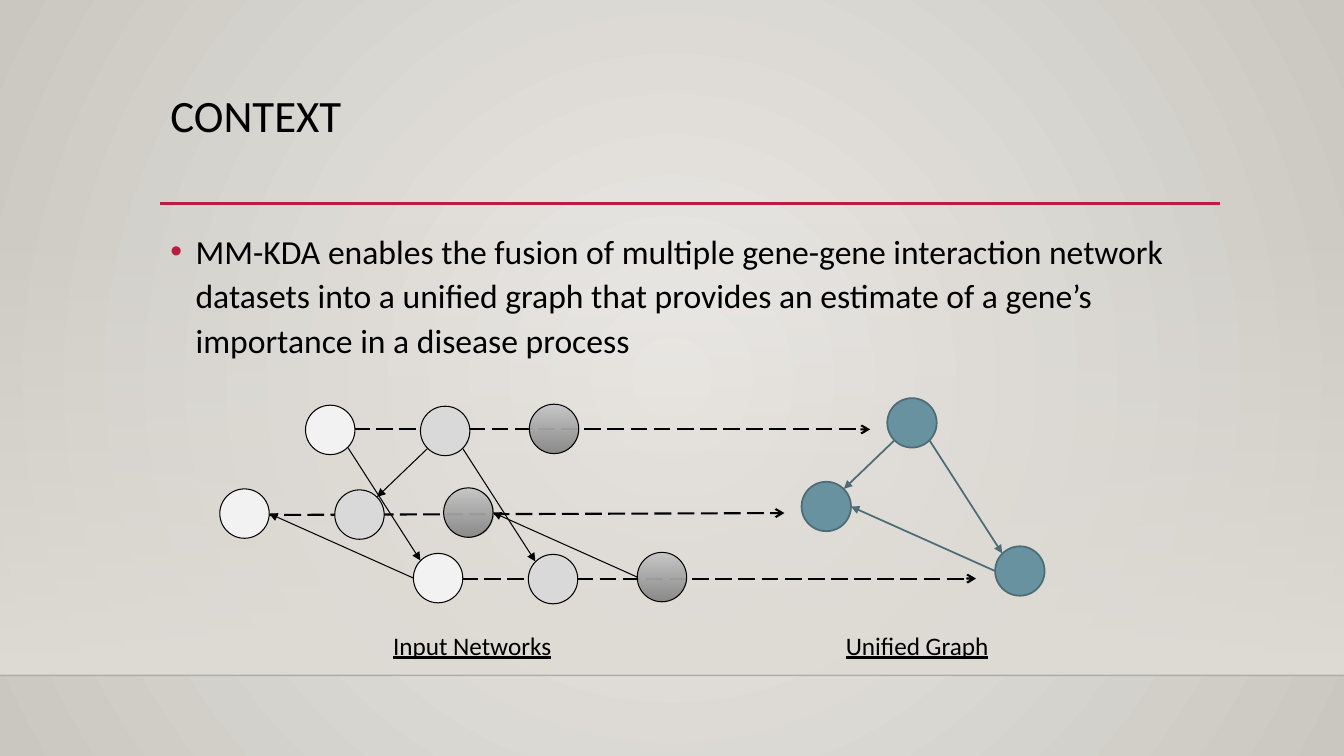
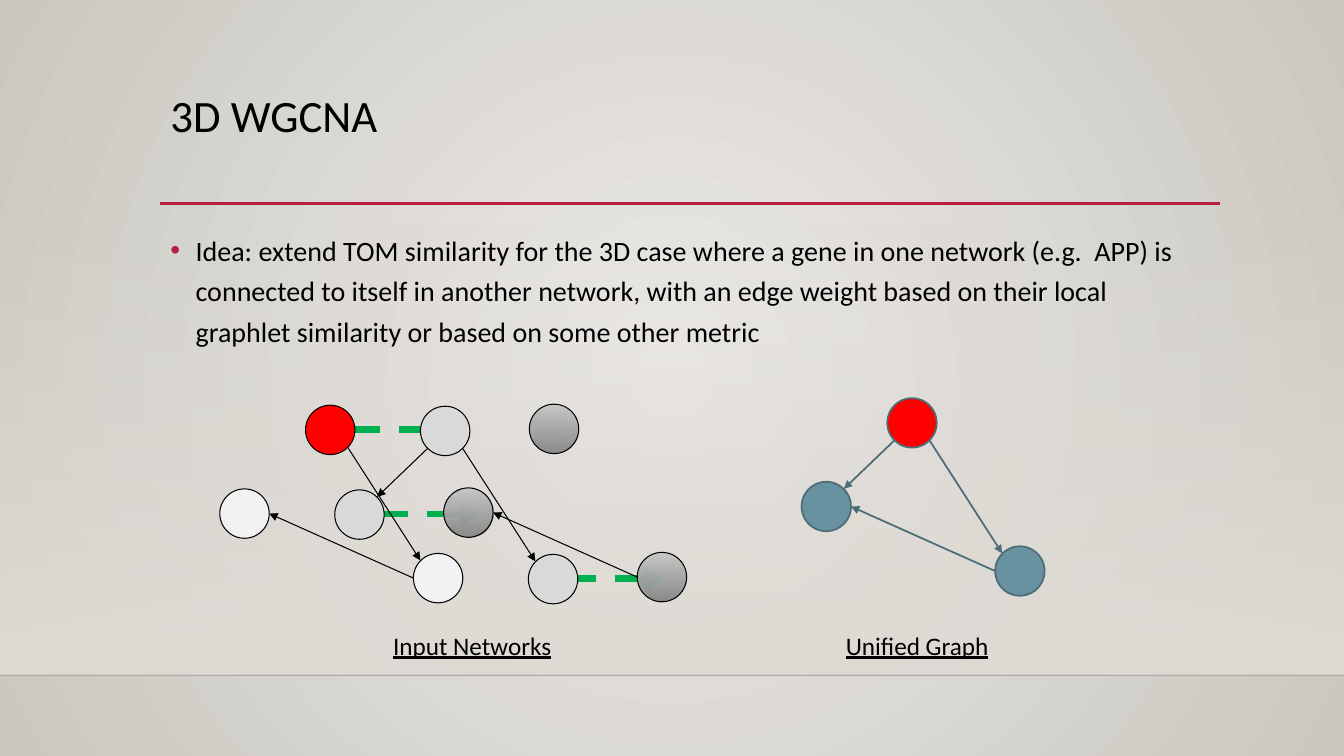
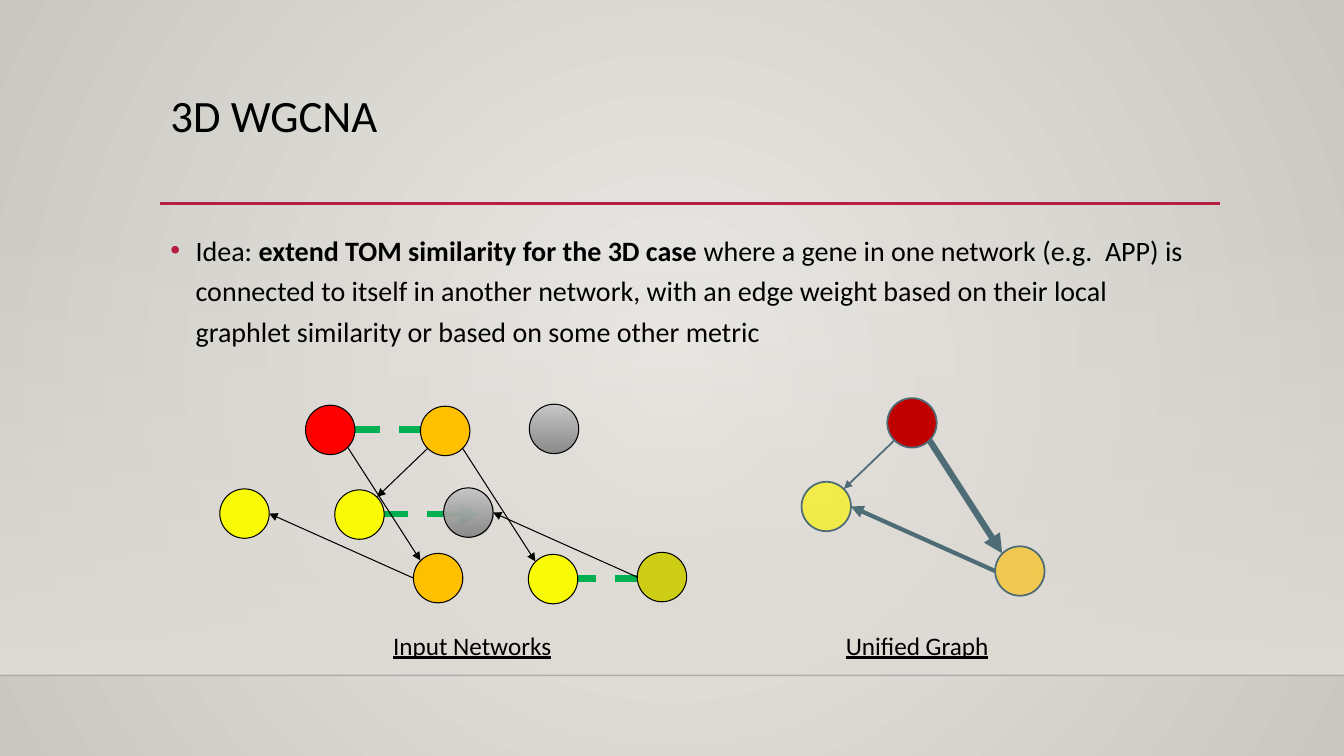
import pptx
import pptx.util
import pptx.dml.color
import pptx.enum.dml
import pptx.enum.shapes
import pptx.enum.text
import pptx.oxml
import pptx.oxml.ns

Inches = pptx.util.Inches
Pt = pptx.util.Pt

COLORS = {
    "text": "000000", "accent": "B71E42", "glow": "ECEAE7", "edge": "CAC7C1",
    "band": "DFDBD5", "horizon": "000001", "white": "F2F2F2", "light": "D9D9D9",
    "silver": "C8C8C8", "steel": "848484", "teal": "6892A0", "slate": "4D6C76",
    "green": "00B050", "red": "FF0000", "crimson": "C00000", "orange": "FFC000",
    "yellow": "F9FA05", "lemon": "F8F213", "olive": "CCCD14",
}
FONT = "Calibri"
DOWN = '<a:lin ang="5400000" scaled="0"/>'
CENTRE = ('<a:path path="circle"><a:fillToRect l="50000" t="50000" '
          'r="50000" b="50000"/></a:path>')
GRAY = [("silver", 100), ("steel", 92)]

NODE = 0.49
DIAGONAL = 0.07
NODE_OFFSETS = {"top": (0.85, 0), "bottom": (1.92, 1.47), "left": (0, 0.83)}
ANCHORS = {
    "upper left": (DIAGONAL, DIAGONAL),
    "upper right": (NODE - DIAGONAL, DIAGONAL),
    "lower left": (DIAGONAL, NODE - DIAGONAL),
    "lower right": (NODE - DIAGONAL, NODE - DIAGONAL),
    "middle left": (0, NODE / 2),
    "middle right": (NODE, NODE / 2),
}
EDGES = {
    "top-bottom": ("top", "lower right", "bottom", "upper left"),
    "bottom-left": ("bottom", "middle left", "left", "middle right"),
    "top-left": ("top", "lower left", "left", "upper right"),
}
DIAGRAM_BOX = (2.18, 3.95)
INPUT_NETWORKS = [
    ((0, 0.07), ("top-bottom", "bottom-left")),
    ((1.14, 0.08), ("top-bottom", "top-left")),
    ((2.22, 0.06), ("bottom-left",)),
]
UNIFIED_OFFSET = (5.77, 0)
CAPTIONS = {"Input Networks": (1.62, 2.25), "Unified Graph": (6.11, 2.25)}
FUSION_LINKS = {
    "style": {"color": "text", "width": 1.5},
    "spans": [(1.09, 0.31, 6.45, 0.31), (2.16, 1.79, 7.5, 1.79),
              (0.18, 1.16, 5.6, 1.14)],
}
SELF_LINKS = {
    "style": {"color": "green", "width": 4.5},
    "spans": [(1.37, 1.15, 2.57, 1.15), (1.09, 0.31, 2.29, 0.31),
              (3.23, 1.79, 4.41, 1.79)],
}
THIN_EDGES = {"top-bottom": 1.25, "bottom-left": 1.25, "top-left": 1.25}
METRIC = ("where a gene in one network (e.g.  APP) is connected to itself in "
          "another network, with an edge weight based on their local graphlet "
          "similarity or based on some other metric")

SLIDES = [
    {
        "title": "CONTEXT",
        "body": [("MM-KDA enables the fusion of multiple gene-gene interaction "
                  "network datasets into a unified graph that provides an estimate "
                  "of a gene’s importance in a disease process", False)],
        "size": 24, "spacing": 1.1, "links": FUSION_LINKS,
        "inputs": [("white",) * 3, ("light",) * 3, (GRAY,) * 3],
        "unified": ("teal",) * 3, "weights": THIN_EDGES,
    },
    {
        "title": "3D WGCNA",
        "body": [("Idea: extend TOM similarity for the 3D case " + METRIC, False)],
        "size": 20, "spacing": 1.2, "links": SELF_LINKS,
        "inputs": [("red", "white", "white"), ("light",) * 3, (GRAY,) * 3],
        "unified": ("red", "teal", "teal"), "weights": THIN_EDGES,
    },
    {
        "title": "3D WGCNA",
        "body": [("Idea: ", False), ("extend TOM similarity for the 3D case ", True),
                 (METRIC, False)],
        "size": 20, "spacing": 1.2, "links": SELF_LINKS,
        "inputs": [("red", "orange", "yellow"), ("orange", "yellow", "yellow"),
                   (GRAY, "olive", GRAY)],
        "unified": ("crimson", ("orange", 61), ("lemon", 72)),
        "weights": {"top-bottom": 4.5, "bottom-left": 3, "top-left": 1.25},
    },
]


def rgb(name):
    return pptx.dml.color.RGBColor.from_string(COLORS[name])


def apply(target, values):
    for name, value in values.items():
        setattr(target, name, value)


def xml(markup):
    tag, rest = markup.split(" ", 1) if " " in markup.split(">")[0] else (
        markup.split(">")[0].rstrip("/"), markup[len(markup.split(">")[0].rstrip("/")):])
    return pptx.oxml.parse_xml(f'{tag} {pptx.oxml.ns.nsdecls("a")} {rest}')


def set_alpha(element, percent):
    color = element.xpath(".//a:solidFill/a:srgbClr")[0]
    color.append(xml(f'<a:alpha val="{percent * 1000}"/>'))


def set_gradient(fill, element, stops, direction):
    fill.gradient()
    placed = element.xpath(".//a:gradFill")[0]
    marks = "".join(
        f'<a:gs pos="{position}"><a:srgbClr val="{COLORS[name]}">'
        f'<a:alpha val="{alpha * 1000}"/></a:srgbClr></a:gs>'
        for position, (name, alpha) in zip((0, 100000), stops))
    placed.getparent().replace(placed, xml(
        f'<a:gradFill rotWithShape="1"><a:gsLst>{marks}</a:gsLst>{direction}</a:gradFill>'))


def set_fill(shape, paint):
    if isinstance(paint, list):
        set_gradient(shape.fill, shape.element.spPr, paint, DOWN)
        return
    name, alpha = paint if isinstance(paint, tuple) else (paint, 100)
    shape.fill.solid()
    shape.fill.fore_color.rgb = rgb(name)
    if alpha < 100:
        set_alpha(shape.element.spPr, alpha)


def add_line(slide, span, color, width, arrow=None, dash=None):
    line = slide.shapes.add_connector(
        pptx.enum.shapes.MSO_CONNECTOR.STRAIGHT, *map(Inches, span))
    line.line.color.rgb = rgb(color)
    line.line.width = Pt(width)
    if dash:
        line.line.dash_style = dash
    if arrow:
        line.line._get_or_add_ln().append(xml(f'<a:tailEnd type="{arrow}"/>'))
    line.element.spPr.append(xml("<a:effectLst/>"))
    return line


def add_node(slide, x, y, paint, outline, width):
    node = slide.shapes.add_shape(
        pptx.enum.shapes.MSO_SHAPE.OVAL, *map(Inches, (x, y, NODE, NODE)))
    node.shadow.inherit = False
    set_fill(node, paint)
    node.line.color.rgb = rgb(outline)
    node.line.width = Pt(width)


def add_network(slide, x, y, paints, weights, outline, width):
    corners = {name: (x + dx, y + dy) for name, (dx, dy) in NODE_OFFSETS.items()}
    for corner, paint in zip(corners.values(), paints):
        add_node(slide, *corner, paint, outline, width)
    for edge, weight in weights.items():
        start, leave, end, arrive = EDGES[edge]
        span = [at + shift for node, side in ((start, leave), (end, arrive))
                for at, shift in zip(corners[node], ANCHORS[side])]
        add_line(slide, span, outline, weight, "triangle")


def add_text(paragraph, text, size, **extra):
    run = paragraph.add_run()
    run.text = text
    apply(run.font, {"name": FONT, "size": Pt(size), **extra})
    run.font.color.rgb = rgb("text")


def add_caption(slide, x, y, text):
    caption = slide.shapes.add_textbox(*map(Inches, (x, y, 2.31, 0.4)))
    caption.text_frame.word_wrap = True
    add_text(caption.text_frame.paragraphs[0], text, 18, underline=True)


def add_diagram(slide, x, y, content):
    for x1, y1, x2, y2 in content["links"]["spans"]:
        add_line(slide, (x + x1, y + y1, x + x2, y + y2), arrow="arrow",
                 dash=pptx.enum.dml.MSO_LINE.LONG_DASH, **content["links"]["style"])
    for ((dx, dy), edges), paints in zip(INPUT_NETWORKS, content["inputs"]):
        add_network(slide, x + dx, y + dy, paints, dict.fromkeys(edges, 0.75),
                    "text", 0.75)
    dx, dy = UNIFIED_OFFSET
    add_network(slide, x + dx, y + dy, content["unified"], content["weights"],
                "slate", 1.25)
    for text, (dx, dy) in CAPTIONS.items():
        add_caption(slide, x + dx, y + dy, text)


def place(shape, x, y, width, height):
    apply(shape, {"left": Inches(x), "top": Inches(y),
                  "width": Inches(width), "height": Inches(height)})


def style_layout(layout, slide):
    set_gradient(layout.background.fill, layout.element,
                 [("glow", 100), ("edge", 100)], CENTRE)
    band = slide.shapes.add_shape(
        pptx.enum.shapes.MSO_SHAPE.RECTANGLE, *map(Inches, (0, 2.21, 13.33, 4.49)))
    band.shadow.inherit = False
    band.line.fill.background()
    set_fill(band, [("band", 0), ("band", 100)])
    horizon = add_line(slide, (0, 6.7, 13.33, 6.7), "horizon", 1)
    set_alpha(horizon.element.spPr, 20)
    rule = add_line(slide, (1.59, 2.02, 12.1, 2.02), "accent", 2.5)
    for index, part in enumerate((band, horizon, rule), 2):
        layout.shapes.element.insert(index, part.element)


def fill_placeholder(holder, box, pieces, size, spacing, bullet=False):
    place(holder, *box)
    apply(holder.text_frame, {
        "word_wrap": True,
        "auto_size": pptx.enum.text.MSO_AUTO_SIZE.NONE,
        "vertical_anchor": pptx.enum.text.MSO_ANCHOR.TOP,
    })
    paragraph = holder.text_frame.paragraphs[0]
    if bullet:
        properties = paragraph._p.get_or_add_pPr()
        properties.set("marL", str(Inches(0.25)))
        properties.set("indent", str(Inches(-0.25)))
        for mark in (f'<a:buClr><a:srgbClr val="{COLORS["accent"]}"/></a:buClr>',
                     '<a:buFont typeface="Arial"/>', '<a:buChar char="•"/>'):
            properties.append(xml(mark))
    apply(paragraph, {"alignment": pptx.enum.text.PP_ALIGN.LEFT,
                      "line_spacing": spacing, "space_before": Pt(0)})
    for text, bold in pieces:
        add_text(paragraph, text, size, bold=bold)


def add_network_slide(slide, content):
    title, body = slide.placeholders
    fill_placeholder(title, (1.59, 0.88, 10.5, 1.15), [(content["title"], False)],
                     32, 0.9)
    fill_placeholder(body, (1.59, 2.2, 10.5, 1.5), content["body"],
                     content["size"], content["spacing"], bullet=True)
    add_diagram(slide, *DIAGRAM_BOX, content)


def main():
    deck = pptx.Presentation()
    apply(deck, {"slide_width": Inches(13.33), "slide_height": Inches(7.5)})
    layout = deck.slide_layouts[1]
    slides = [deck.slides.add_slide(layout) for _ in SLIDES]
    style_layout(layout, slides[0])
    for slide, content in zip(slides, SLIDES):
        add_network_slide(slide, content)
    deck.save("out.pptx")


if __name__ == "__main__":
    main()
